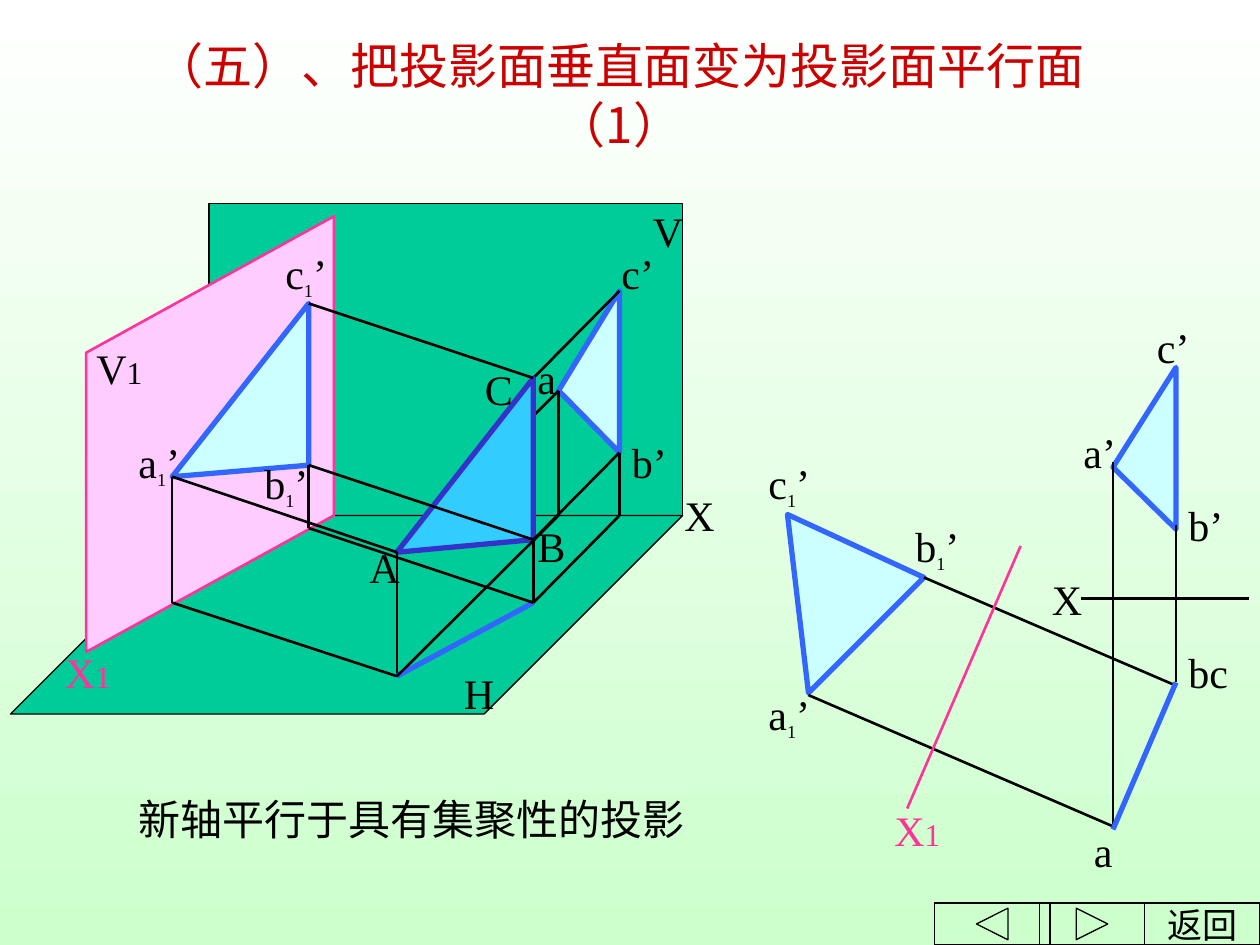
"""Build the slide on turning a perpendicular plane into a parallel plane."""
from typing import NamedTuple, Optional

from lxml import etree
from pptx import Presentation
from pptx.dml.color import RGBColor
from pptx.enum.shapes import MSO_CONNECTOR, MSO_SHAPE
from pptx.enum.text import MSO_ANCHOR, PP_ALIGN
from pptx.oxml.ns import qn
from pptx.util import Inches, Pt

STRAIGHT = MSO_CONNECTOR.STRAIGHT
RECT = MSO_SHAPE.RECTANGLE
BACK = MSO_SHAPE.ACTION_BUTTON_BACK_OR_PREVIOUS
NEXT = MSO_SHAPE.ACTION_BUTTON_FORWARD_OR_NEXT
BLANK = MSO_SHAPE.ACTION_BUTTON_CUSTOM
MIDDLE = MSO_ANCHOR.MIDDLE
CENTER = PP_ALIGN.CENTER

COLS, ROWS = 120, 90
CELL = Inches(10) / COLS
SERIF, SANS = "Times New Roman", "Noto Sans CJK JP"
INK = {
    "black": "000000", "white": "FFFFFF", "mint": "CCFFCC", "red": "CC0000",
    "green": "00CC99", "pale": "CCFFFF", "blue": "3366FF", "sky": "33CCFF",
    "navy": "3333CC", "pink": "FFCCFF", "rose": "FF3399",
}


class Path(NamedTuple):
    """A line, or a closed outline when it has a fill."""
    points: list
    line: str = "black"
    width: float = 1.5
    fill: Optional[str] = None


class Label(NamedTuple):
    """A short text with an optional small digit and prime."""
    col: float
    row: float
    text: str
    digit: str = ""
    prime: str = ""
    wide: float = 8
    ink: str = "black"


class Button(NamedTuple):
    """A navigation button on the bottom row."""
    col: float
    wide: float
    kind: int
    text: str = ""


V_C, V_B, V_A = (59, 27.7), (59, 43.1), (53.2, 37.2)
V_CX, V_AX = (59, 49.1), (53.2, 49.1)
C, B, A = (50.8, 36), (50.8, 51.4), (37.8, 52.6)
H_B, H_A = (50.8, 57.4), (37.8, 64.4)
N_C, N_B, N_A = (29.4, 28.9), (29.4, 44.3), (16.4, 45.4)
N_BX, N_AX = (29.4, 50.3), (16.4, 57.4)
WALL = [(19.9, 19.4), (65, 19.4), (65, 49.1), (19.9, 49.1)]
FLOOR = [(19.9, 49.1), (1, 68), (46.1, 68), (65, 49.1)]
PANE = [(8.2, 62.1), (31.8, 49.1), (31.8, 20.6), (8.2, 33.6)]
F_C, F_B, F_A = (112, 35), (112, 50.4), (106, 44.5)
F_BC, F_H = (112, 65), (106, 79)
R_C, R_A, R_B = (75, 49), (77, 66), (88, 55)

PATHS = [
    Path(WALL, width=0.75, fill="green"),
    Path(FLOOR, width=0.75, fill="green"),
    Path([V_C, V_B, V_A], "blue", 3, "pale"),
    Path([V_C, C]),
    Path([V_A, A]),
    Path([C, B, A], "navy", 3, "sky"),
    Path([V_B, V_CX]),
    Path([V_A, V_AX]),
    Path([A, H_A]),
    Path([H_A, H_B], "blue", 3),
    Path([V_CX, H_B]),
    Path([V_AX, H_A]),
    Path([V_B, B]),
    Path([B, H_B]),
    Path(PANE, "rose", fill="pink"),
    Path([N_C, N_B, N_A], "blue", 3, "pale"),
    Path([N_A, N_AX]),
    Path([N_B, N_BX]),
    Path([C, N_C]),
    Path([B, N_B]),
    Path([A, N_A]),
    Path([H_A, N_AX]),
    Path([H_B, N_BX]),
    Path([R_C, R_A, R_B], "blue", 3, "pale"),
    Path([R_B, (112, 65.3)]),
    Path([(77, 66.2), (106, 78.7)]),
    Path([(97.2, 52), (86.4, 77)], "rose"),
    Path([(103, 57), (119, 57)]),
    Path([F_C, F_B, F_A], "blue", 3, "pale"),
    Path([(112, 50), F_BC]),
    Path([(106, 44), F_H]),
    Path([F_BC, F_H], "blue", 3),
]
LABELS = [
    Label(61, 19, "V", wide=5), Label(34, 51, "A", wide=5),
    Label(43, 63, "H", wide=5), Label(50, 33, "a", wide=5),
    Label(45, 34, "C", wide=5), Label(50, 49, "B", wide=5),
    Label(58, 23, "c’"), Label(59, 41, "b’"), Label(64, 46, "X", wide=6),
    Label(8, 32, "V", "1"), Label(5, 61, "X", "1", wide=10, ink="rose"),
    Label(26, 23, "c", "1", "’", 7), Label(24, 43, "b", "1", "’", 7),
    Label(12, 41, "a", "1", "’", 7),
    Label(72, 65, "a", "1", "’", 7), Label(72, 43, "c", "1", "’", 7),
    Label(86, 49, "b", "1", "’", 7),
    Label(84, 76, "X", "1", wide=10, ink="rose"),
    Label(112, 61, "bc"), Label(103, 78, "a"), Label(112, 47, "b’"),
    Label(102, 40, "a’"), Label(109, 30, "c’"), Label(99, 54, "X", wide=6),
    Label(12, 75, "新轴平行于具有集聚性的投影", wide=61),
]
BUTTONS = [
    Button(109, 11, BLANK, "返回"), Button(89, 11, BACK), Button(99, 10, NEXT),
]


def cells(*nums: float) -> list:
    """Turn grid counts into slide lengths."""
    return [round(n * CELL) for n in nums]


def tint(name: str) -> RGBColor:
    """Look up a colour."""
    return RGBColor.from_string(INK[name])


def style(run, size: float, ink: str = "black", face: str = SERIF) -> None:
    """Set the font of a run, with a sans face for Chinese text."""
    run.font.size, run.font.name = Pt(size), face
    run.font.color.rgb = tint(ink)
    east = etree.SubElement(run.font._element, qn("a:ea"))
    east.set("typeface", SANS)


def draw(shapes, item: Path) -> None:
    """Draw a line or a filled outline."""
    spots = [tuple(cells(*spot)) for spot in item.points]
    if item.fill:
        pen = shapes.build_freeform(*spots[0], scale=1.0)
        pen.add_line_segments(spots[1:], close=True)
        shape = pen.convert_to_shape()
        shape.shadow.inherit = False
        shape.fill.solid()
        shape.fill.fore_color.rgb = tint(item.fill)
    else:
        shape = shapes.add_connector(STRAIGHT, *spots[0], *spots[1])
        etree.SubElement(shape._element.spPr, qn("a:effectLst"))
        shape.line.width = Pt(item.width)
    shape.line.color.rgb = tint(item.line)
    shape.line.width = Pt(item.width)


def write(shapes, item: Label) -> None:
    """Place a label, lowering its digit when a prime follows."""
    box = shapes.add_textbox(*cells(item.col, item.row, item.wide, 6))
    box.text_frame.word_wrap = True
    para = box.text_frame.paragraphs[0]
    parts = ((item.text, 24), (item.digit, 18), (item.prime, 24))
    for text, size in parts:
        if text:
            run = para.add_run()
            run.text = text
            style(run, size, item.ink)
            if size == 18 and item.prime:
                run.font._element.set("baseline", "-25000")


def press(shapes, item: Button) -> None:
    """Add a hollow button."""
    shape = shapes.add_shape(item.kind, *cells(item.col, 86, item.wide, 4))
    shape.shadow.inherit = False
    shape.fill.background()
    shape.line.color.rgb = tint("black")
    shape.line.width = Pt(0.75)
    if item.text:
        frame = shape.text_frame
        frame.text, frame.word_wrap = item.text, False
        frame.vertical_anchor = MIDDLE
        frame.paragraphs[0].alignment = CENTER
        style(frame.paragraphs[0].runs[0], 20)


def main() -> None:
    """Build and save the slide."""
    deck = Presentation()
    deck.slide_width, deck.slide_height = cells(COLS, ROWS)
    slide = deck.slides.add_slide(deck.slide_layouts[5])
    back = slide.background.fill
    back.gradient()
    back.gradient_angle = 270
    for stop, name, spot in zip(back.gradient_stops, ("white", "mint"), (0, 1)):
        stop.color.rgb, stop.position = tint(name), spot
    title = slide.shapes.title
    title.left, title.top, title.width, title.height = cells(8, 3, 102, 12)
    title.text_frame.text = "（五）、把投影面垂直面变为投影面平行面（1）"
    title.text_frame.vertical_anchor = MIDDLE
    title.text_frame.paragraphs[0].alignment = CENTER
    style(title.text_frame.paragraphs[0].runs[0], 28, "red", SANS)
    for paint, items in ((draw, PATHS), (write, LABELS), (press, BUTTONS)):
        for item in items:
            paint(slide.shapes, item)
    deck.save("out.pptx")


if __name__ == "__main__":
    main()
